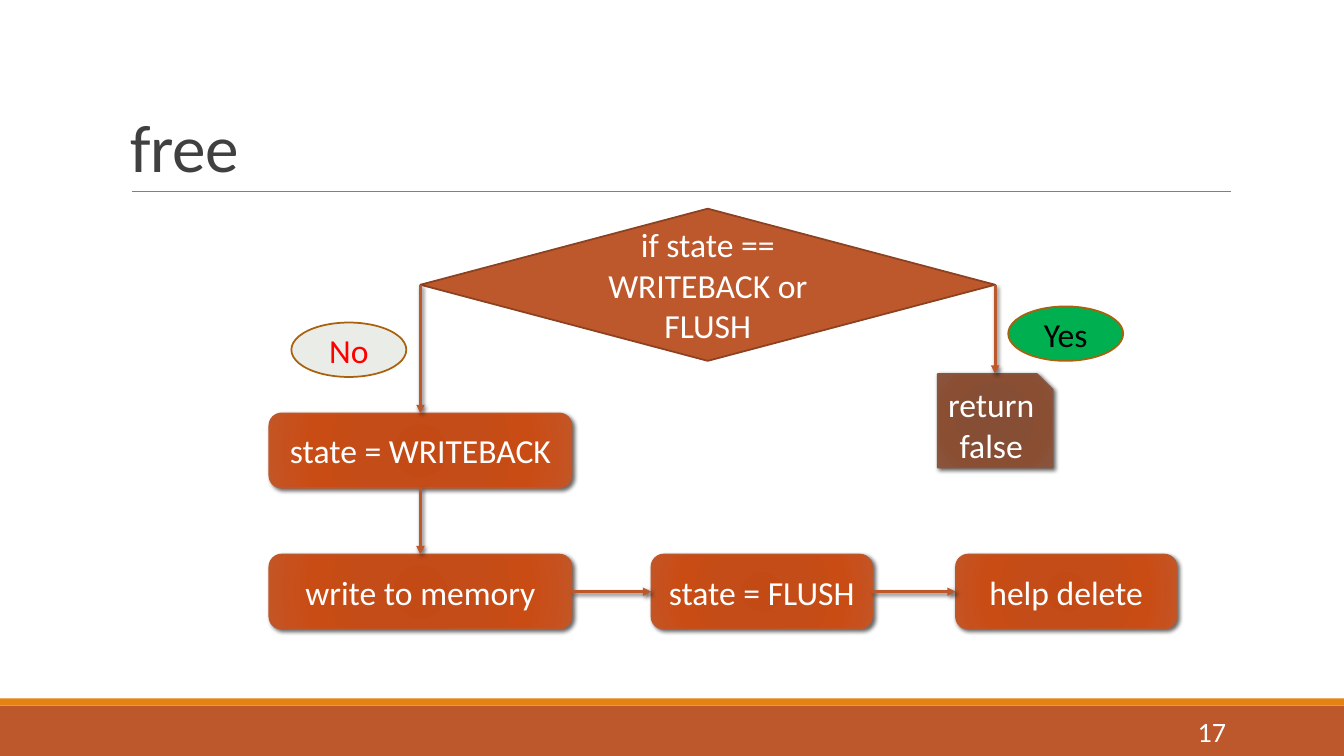
from dataclasses import dataclass

from pptx import Presentation
from pptx.dml.color import RGBColor
from pptx.enum.shapes import MSO_CONNECTOR as LINK, MSO_SHAPE as SHAPE
from pptx.enum.text import MSO_ANCHOR as ANCHOR, PP_ALIGN as ALIGN
from pptx.oxml import parse_xml
from pptx.oxml.ns import nsdecls, qn
from pptx.util import Inches, Pt

TOP, LEFT, BOTTOM, RIGHT = range(4)


@dataclass(frozen=True)
class Theme:
    font: str = "Calibri"
    title: int = 48
    body: int = 24
    number: int = 20
    white: str = "FFFFFF"
    black: str = "000000"
    gray: str = "808080"
    ink: str = "404040"
    rust: str = "BD582C"
    edge: str = "8C4121"
    orange: str = "E48312"
    rim: str = "A9610D"
    pale: str = "EAECE7"
    green: str = "00B050"
    red: str = "FF0000"
    brown: str = "865640"
    step_fade: tuple = ("C44A15", "C34C18", "C94C15", "C45525")
    end_fade: tuple = ("874C32", "864E34", "8A4E33", "8A553D")
    stops: tuple = (0, 34, 70, 100)


class Chart:
    def __init__(self, slide, theme):
        self.shapes = slide.shapes
        self.theme = theme

    def letter(self, frame, text, size, color, align, anchor=ANCHOR.MIDDLE):
        """Set and format the text of a frame and return its paragraph."""
        frame.text = text
        frame.word_wrap = True
        frame.vertical_anchor = anchor
        para = frame.paragraphs[0]
        para.alignment = align
        run = para.runs[0]
        run.font.name = self.theme.font
        run.font.size = Pt(size)
        run.font.color.rgb = RGBColor.from_string(color)
        return para

    def label(self, place, text, size, color, align, anchor=ANCHOR.MIDDLE):
        box = self.shapes.add_textbox(*map(Inches, place))
        return self.letter(box.text_frame, text, size, color, align, anchor)

    def shape(self, kind, place, fill, line=None, width=1.25, text=None, color=None):
        item = self.shapes.add_shape(kind, *map(Inches, place))
        item.shadow.inherit = False
        item.fill.solid()
        item.fill.fore_color.rgb = RGBColor.from_string(fill)
        if line:
            item.line.color.rgb = RGBColor.from_string(line)
            item.line.width = Pt(width)
        else:
            item.line.fill.background()
        if text:
            self.letter(item.text_frame, text, self.theme.body,
                        color or self.theme.white, ALIGN.CENTER)
        return item

    def raised(self, kind, place, fade, line, text):
        """Add a shape with a radial fade and a drop shadow."""
        item = self.shape(kind, place, fade[0], line, 1, text)
        props = item._element.spPr
        stops = "".join(
            f'<a:gs pos="{stop * 1000}"><a:srgbClr val="{color}"/></a:gs>'
            for stop, color in zip(self.theme.stops, fade))
        props.replace(props.find(qn("a:solidFill")), parse_xml(
            f'<a:gradFill {nsdecls("a")} rotWithShape="1"><a:gsLst>{stops}</a:gsLst>'
            '<a:path path="circle"><a:fillToRect l="100000" t="100000" r="100000" b="100000"/>'
            '</a:path></a:gradFill>'))
        self.shade(props)
        return item

    def step(self, place, text):
        return self.raised(SHAPE.ROUNDED_RECTANGLE, place,
                           self.theme.step_fade, self.theme.rust, text)

    def shade(self, props):
        props.find(qn("a:effectLst")).append(parse_xml(
            f'<a:outerShdw {nsdecls("a")} blurRad="{Pt(3)}" dist="{Pt(2)}" dir="2700000" '
            f'algn="tl" rotWithShape="0"><a:srgbClr val="{self.theme.black}">'
            '<a:alpha val="60000"/></a:srgbClr></a:outerShdw>'))

    def line(self, ends, color, width):
        link = self.shapes.add_connector(LINK.STRAIGHT, *map(Inches, ends))
        link.line.color.rgb = RGBColor.from_string(color)
        link.line.width = Pt(width)
        link._element.spPr.append(parse_xml(f'<a:effectLst {nsdecls("a")}/>'))
        return link

    def arrow(self, start, out, end, into):
        link = self.line((0, 0, 0, 0), self.theme.rust, 2)
        link.begin_connect(start, out)
        link.end_connect(end, into)
        props = link._element.spPr
        props.find(qn("a:ln")).append(
            parse_xml(f'<a:tailEnd {nsdecls("a")} type="triangle"/>'))
        self.shade(props)


def main():
    deck = Presentation()
    deck.slide_width, deck.slide_height = Inches(13.33), Inches(7.5)
    theme = Theme()
    chart = Chart(deck.slides.add_slide(deck.slide_layouts[6]), theme)

    chart.shape(SHAPE.RECTANGLE, (0, 7, 13.33, 0.5), theme.rust)
    chart.shape(SHAPE.RECTANGLE, (0, 6.93, 13.33, 0.07), theme.orange)
    chart.line((1.31, 1.9, 12.21, 1.9), theme.gray, 0.5)
    title = chart.label((1.2, 0.31, 11, 1.59), "free", theme.title,
                        theme.ink, ALIGN.LEFT, ANCHOR.BOTTOM)
    title.line_spacing = 0.85
    title.runs[0].font._element.set("spc", "-50")

    test = chart.shape(SHAPE.FLOWCHART_DECISION, (4.17, 2.07, 5.7, 1.51), theme.rust,
                       theme.edge, text="if state == WRITEBACK or FLUSH")
    for place, fill, text, color in (
            ((2.89, 3.2, 1.14, 0.54), theme.pale, "No", theme.red),
            ((10, 3.04, 1.14, 0.54), theme.green, "Yes", theme.black)):
        chart.shape(SHAPE.OVAL, place, fill, theme.rim, text=text, color=color)

    stop = chart.raised(SHAPE.SNIP_1_RECTANGLE, (9.3, 3.71, 1.14, 0.93),
                        theme.end_fade, theme.brown, "return false")
    mark = chart.step((2.67, 4.1, 3, 0.74), "state = WRITEBACK")
    store, flush, drop = [
        chart.step((left, 5.5, width, 0.74), text) for left, width, text in (
            (2.67, 3, "write to memory"),
            (6.46, 2.19, "state = FLUSH"),
            (9.48, 2.19, "help delete"))]

    chart.arrow(test, LEFT, mark, TOP)
    chart.arrow(test, RIGHT, stop, TOP)
    chart.arrow(mark, BOTTOM, store, TOP)
    chart.arrow(store, RIGHT, flush, LEFT)
    chart.arrow(flush, RIGHT, drop, LEFT)

    chart.label((10.83, 7.06, 1.43, 0.4), "17", theme.number, theme.white, ALIGN.RIGHT)
    deck.save("out.pptx")


if __name__ == "__main__":
    main()
